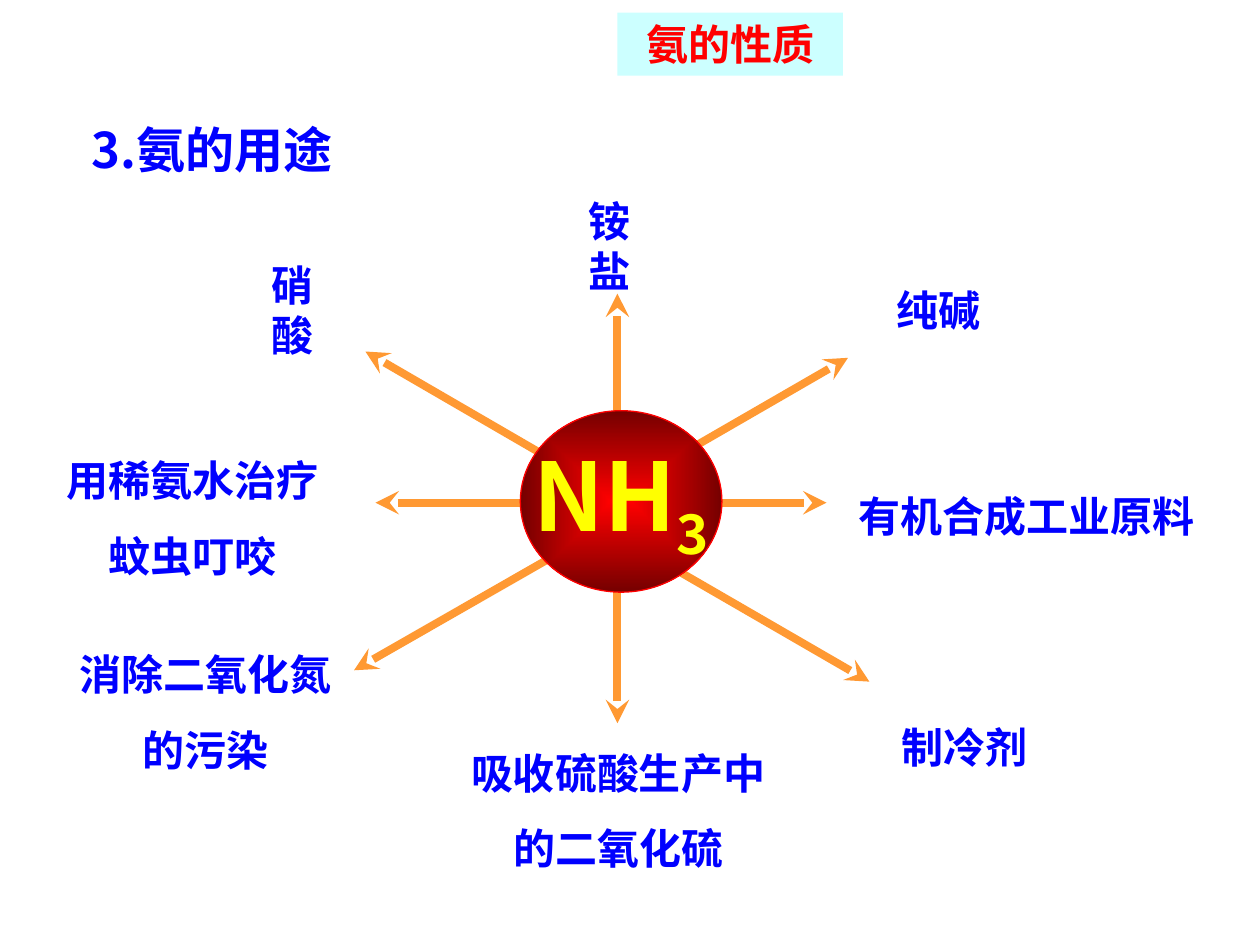
from collections import namedtuple

from lxml import etree
from pptx import Presentation
from pptx import util as u
from pptx.dml.color import RGBColor
from pptx.enum import shapes, text
from pptx.oxml.ns import qn

BLUE = RGBColor(0x00, 0x00, 0xFF)
RED = RGBColor(0xFF, 0x00, 0x00)
DARK_RED = RGBColor(0x75, 0x00, 0x00)
YELLOW = RGBColor(0xFF, 0xFF, 0x00)
ORANGE = RGBColor(0xFF, 0x99, 0x33)
CYAN = RGBColor(0xCC, 0xFF, 0xFF)
CJK_FONT = "Noto Sans CJK SC"

COLUMNS, ROWS = 100, 75
CELL = u.Inches(0.1)
Box = namedtuple("Box", "left top width height")

SPOKES = [
    ((0, -6.6), (0, -16.6)),
    ((4.1, -3.3), (18.3, -11.5)),
    ((5, 0), (16.6, 0)),
    ((-6.7, 0), (-19.2, 0)),
    ((-5, -3.3), (-20, -12)),
    ((4.1, 5), (20, 14.2)),
    ((0, 6.7), (0, 17.5)),
    ((-5, 4.2), (-20.9, 13.3)),
]
HUB = Box(-7.7, -7.3, 16, 14.4)
USES = [
    (["硝酸"], Box(-30.1, -17.8, 8.6, 5), 1),
    (["铵盐"], Box(-4.9, -22.9, 8.6, 5), 1),
    (["纯碱"], Box(21, -17.8, 9, 5), 1),
    (["有机合成工业原料"], Box(17.5, -3.5, 29.9, 7), 1.5),
    (["用稀氨水治疗", "蚊虫叮咬"], Box(-44.7, -6.3, 22, 13), 1.5),
    (["消除二氧化氮", "的污染"], Box(-46.3, 9.1, 27.2, 13), 1.5),
    (["吸收硫酸生产中的二氧化硫"], Box(-13.6, 16.9, 27.3, 13), 1.5),
    (["制冷剂"], Box(21, 16.9, 13.1, 5), 1),
]


def cells(*counts):
    return [round(count * CELL) for count in counts]


def shifted(box, centre):
    return Box(box.left + centre[0], box.top + centre[1], box.width, box.height)


def write(shape, lines, size=24, color=BLUE, font=CJK_FONT, spacing=1, wrap=True,
          align=text.PP_ALIGN.CENTER, anchor=text.MSO_ANCHOR.MIDDLE):
    frame = shape.text_frame
    frame.word_wrap = wrap
    frame.auto_size = text.MSO_AUTO_SIZE.NONE
    frame.vertical_anchor = anchor
    for index, line in enumerate(lines):
        para = frame.add_paragraph() if index else frame.paragraphs[0]
        para.alignment = align
        para.line_spacing = spacing
        span = para.add_run()
        span.text = line
        style(span, size, color, font)


def style(span, size, color, font):
    span.font.size = u.Pt(size)
    span.font.bold = True
    span.font.color.rgb = color
    span.font.name = font
    east_asian = etree.SubElement(span.font._element, qn("a:ea"))
    east_asian.set("typeface", CJK_FONT)


def place_title(page, box):
    title = page.shapes.title
    title.left, title.top, title.width, title.height = cells(*box)
    title.fill.solid()
    title.fill.fore_color.rgb = CYAN
    write(title, ["氨的性质"], color=RED, font="Arial", anchor=text.MSO_ANCHOR.TOP)


def place_heading(page, box):
    heading = page.shapes.add_textbox(*cells(*box))
    write(heading, ["3.氨的用途"], size=28, align=text.PP_ALIGN.LEFT,
          anchor=text.MSO_ANCHOR.TOP)


def place_spokes(page, centre):
    group = page.shapes.add_group_shape()
    for start, end in SPOKES:
        ends = [offset + middle for point in (start, end)
                for offset, middle in zip(point, centre)]
        arrow = group.shapes.add_connector(shapes.MSO_CONNECTOR.STRAIGHT, *cells(*ends))
        arrow.line.width = u.Pt(4.5)
        arrow.line.color.rgb = ORANGE
        head = etree.SubElement(arrow.line._get_or_add_ln(), qn("a:tailEnd"))
        head.set("type", "stealth")
        etree.SubElement(arrow._element.spPr, qn("a:effectLst"))


def fill_from_centre(shape, inner, outer):
    shape.fill.gradient()
    for stop, color, position in zip(shape.fill.gradient_stops, (inner, outer), (0, 1)):
        stop.color.rgb = color
        stop.position = position
    gradient = shape._element.spPr.find(qn("a:gradFill"))
    gradient.remove(gradient.find(qn("a:lin")))
    route = etree.SubElement(gradient, qn("a:path"))
    route.set("path", "rect")
    focus = etree.SubElement(route, qn("a:fillToRect"))
    for side in "ltrb":
        focus.set(side, "50000")


def place_hub(page, centre):
    hub = page.shapes.add_shape(shapes.MSO_SHAPE.OVAL, *cells(*shifted(HUB, centre)))
    hub.shadow.inherit = False
    fill_from_centre(hub, RED, DARK_RED)
    hub.line.color.rgb = RED
    hub.line.width = u.Pt(0.75)
    write(hub, ["NH"], size=54, color=YELLOW, wrap=False)
    subscript = hub.text_frame.paragraphs[0].add_run()
    subscript.text = "3"
    style(subscript, 54, YELLOW, CJK_FONT)
    subscript.font._element.set("baseline", "-25000")


def place_uses(page, centre):
    group = page.shapes.add_group_shape()
    for lines, box, spacing in USES:
        label = group.shapes.add_textbox(*cells(*shifted(box, centre)))
        write(label, lines, spacing=spacing)


def place_diagram(page, box):
    centre = (box.left + box.width / 2, box.top + box.height / 2)
    place_spokes(page, centre)
    place_hub(page, centre)
    place_uses(page, centre)


def main():
    deck = Presentation()
    deck.slide_width, deck.slide_height = cells(COLUMNS, ROWS)
    page = deck.slides.add_slide(deck.slide_layouts[5])
    place_title(page, Box(49, 1, 17.9, 5))
    place_heading(page, Box(6.3, 9, 54.3, 5.7))
    place_diagram(page, Box(0, 17, 98, 45.8))
    deck.save("out.pptx")


if __name__ == "__main__":
    main()
